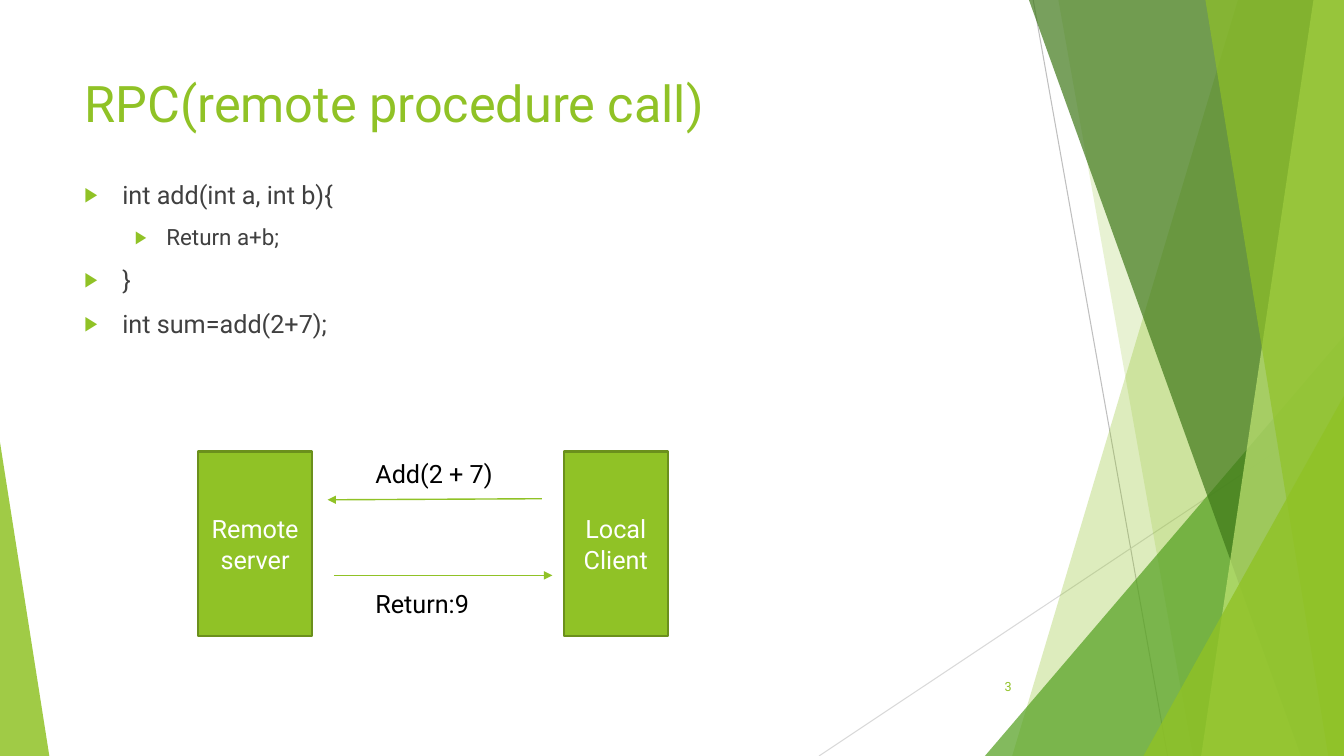
from dataclasses import dataclass

from lxml.etree import SubElement
from pptx import Presentation
from pptx.dml.color import RGBColor
from pptx.enum.shapes import MSO_CONNECTOR, MSO_SHAPE
from pptx.enum.text import MSO_ANCHOR, MSO_AUTO_SIZE, PP_ALIGN
from pptx.oxml.ns import qn
from pptx.util import Pt

PX = 9525
WIDE, HIGH = 1280, 720


@dataclass(frozen=True)
class Theme:
    font: str = "Roboto"
    lime: str = "90C226"
    leaf: str = "54A021"
    moss: str = "3F7819"
    pale: str = "C0E474"
    edge: str = "6B901C"
    gray: str = "BFBFBF"
    mist: str = "D9D9D9"
    ink: str = "404040"
    black: str = "000000"
    white: str = "FFFFFF"
    head: int = 36
    main: int = 18
    sub: int = 16
    note: int = 9


class Deck:
    def __init__(self, theme):
        self.theme = theme
        self.deck = Presentation()
        self.deck.slide_width = WIDE * PX
        self.deck.slide_height = HIGH * PX
        self.slide = self.deck.slides.add_slide(self.deck.slide_layouts[5])
        self.shapes = self.slide.shapes

    def paint(self, shape, color, alpha=100):
        shape.shadow.inherit = False
        shape.fill.solid()
        shape.fill.fore_color.rgb = RGBColor.from_string(color)
        shape.line.fill.background()
        if alpha < 100:
            tint = shape._element.spPr.find(qn("a:solidFill"))[0]
            SubElement(tint, qn("a:alpha"), val=str(alpha * 1000))

    def add_run(self, para, text, size, color, align=PP_ALIGN.LEFT):
        para.alignment = align
        run = para.add_run()
        run.text = text
        run.font.name = self.theme.font
        run.font.size = Pt(size)
        run.font.color.rgb = RGBColor.from_string(color)

    def title(self, text, x, y, w, h):
        shape = self.shapes.title
        shape.left, shape.top, shape.width, shape.height = (n * PX for n in (x, y, w, h))
        frame = shape.text_frame
        frame.word_wrap = True
        frame.auto_size = MSO_AUTO_SIZE.NONE
        frame.vertical_anchor = MSO_ANCHOR.TOP
        self.add_run(frame.paragraphs[0], text, self.theme.head, self.theme.lime)

    def frame(self, x, y, w, h, anchor=MSO_ANCHOR.TOP):
        frame = self.shapes.add_textbox(x * PX, y * PX, w * PX, h * PX).text_frame
        frame.word_wrap = True
        frame.vertical_anchor = anchor
        return frame

    def label(self, text, x, y, w, h):
        frame = self.frame(x, y, w, h)
        frame.auto_size = MSO_AUTO_SIZE.SHAPE_TO_FIT_TEXT
        self.add_run(frame.paragraphs[0], text, self.theme.main, self.theme.black)

    def number(self, text, x, y, w, h):
        frame = self.frame(x, y, w, h, MSO_ANCHOR.MIDDLE)
        self.add_run(frame.paragraphs[0], text, self.theme.note, self.theme.lime, PP_ALIGN.RIGHT)

    def bullets(self, items, x, y, w, h):
        frame = self.frame(x, y, w, h)
        levels = ((36, 36, self.theme.main), (78, 30, self.theme.sub))
        for i, (level, text) in enumerate(items):
            para = frame.add_paragraph() if i else frame.paragraphs[0]
            left, hang, size = levels[level]
            para.level = level
            para.space_before = Pt(10)
            self.add_run(para, text, size, self.theme.ink)
            props = para._p.get_or_add_pPr()
            props.set("marL", str(left * PX))
            props.set("indent", str(-hang * PX))
            tint = SubElement(props, qn("a:buClr"))
            SubElement(tint, qn("a:srgbClr"), val=self.theme.lime)
            SubElement(props, qn("a:buSzPct"), val="80000")
            SubElement(props, qn("a:buFont"), typeface="Arial")
            SubElement(props, qn("a:buChar"), char="▶")

    def line(self, start, end, color, width, arrow=False):
        ends = (n * PX for n in start + end)
        wire = self.shapes.add_connector(MSO_CONNECTOR.STRAIGHT, *ends)
        wire.line.color.rgb = RGBColor.from_string(color)
        wire.line.width = Pt(width)
        props = wire._element.spPr
        if arrow:
            SubElement(props.find(qn("a:ln")), qn("a:tailEnd"), type="triangle")
        SubElement(props, qn("a:effectLst"))

    def facet(self, top, base, color, alpha):
        pen = self.shapes.build_freeform(top, 0, scale=PX)
        pen.add_line_segments([(WIDE, 0), (WIDE, HIGH), (base, HIGH)])
        self.paint(pen.convert_to_shape(), color, alpha)

    def wedge(self, x, y, w, tip, color, alpha):
        shape = self.shapes.add_shape(
            MSO_SHAPE.ISOSCELES_TRIANGLE, x * PX, y * PX, w * PX, (HIGH - y) * PX)
        shape.adjustments[0] = tip
        self.paint(shape, color, alpha)

    def box(self, text, x, y, w, h):
        shape = self.shapes.add_shape(MSO_SHAPE.RECTANGLE, x * PX, y * PX, w * PX, h * PX)
        self.paint(shape, self.theme.lime)
        shape.line.color.rgb = RGBColor.from_string(self.theme.edge)
        shape.line.width = Pt(1.5)
        frame = shape.text_frame
        frame.word_wrap = True
        frame.vertical_anchor = MSO_ANCHOR.MIDDLE
        self.add_run(frame.paragraphs[0], text, self.theme.main, self.theme.white, PP_ALIGN.CENTER)


def main():
    theme = Theme()
    page = Deck(theme)

    page.line((984, 0), (1112, HIGH), theme.gray, 0.75)
    page.line((WIDE, 387), (780, HIGH), theme.mist, 0.75)
    page.facet(1179, 964, theme.lime, 30)
    page.facet(1008, 1136, theme.lime, 20)
    page.wedge(938, 320, 342, 1, theme.leaf, 72)
    page.facet(980, 1239, theme.moss, 70)
    page.facet(1251, 1144, theme.pale, 70)
    page.facet(1148, 1265, theme.lime, 65)
    page.wedge(1089, 377, 191, 1, theme.lime, 80)
    page.wedge(0, 421, 47, 0, theme.lime, 85)

    page.title("RPC(remote procedure call)", 71, 64, 902, 138)
    code = (
        (0, "int add(int a, int b){"),
        (1, "Return a+b;"),
        (0, "}"),
        (0, "int sum=add(2+7);"),
    )
    page.bullets(code, 71, 166, 902, 468)

    page.box("Remote server", 189, 430, 108, 176)
    page.box("Local Client", 537, 430, 99, 176)
    page.line((516, 475), (312, 476), theme.lime, 1, arrow=True)
    page.label("Add(2 + 7)", 348, 432, 169, 38)
    page.line((318, 548), (526, 548), theme.lime, 1, arrow=True)
    page.label("Return:9", 348, 556, 169, 38)
    page.number("3", 901, 635, 72, 38)

    page.deck.save("out.pptx")


if __name__ == "__main__":
    main()
